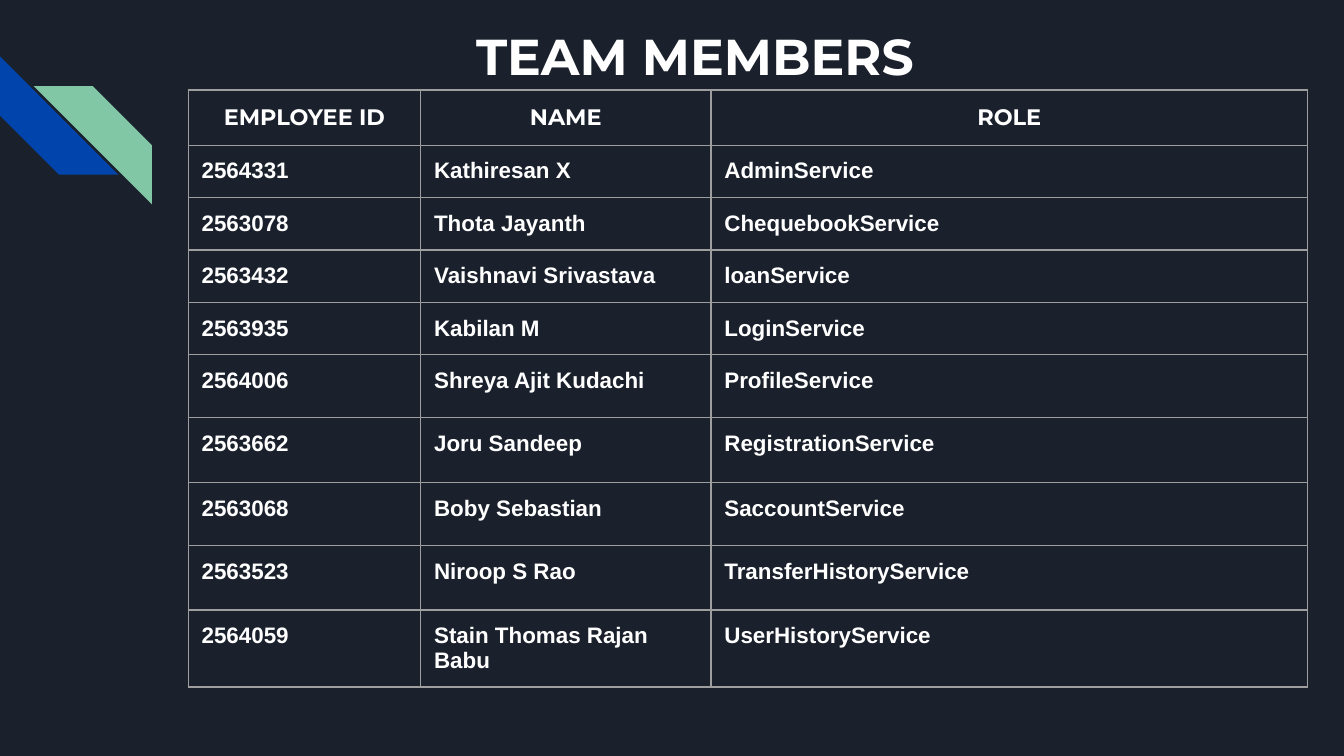
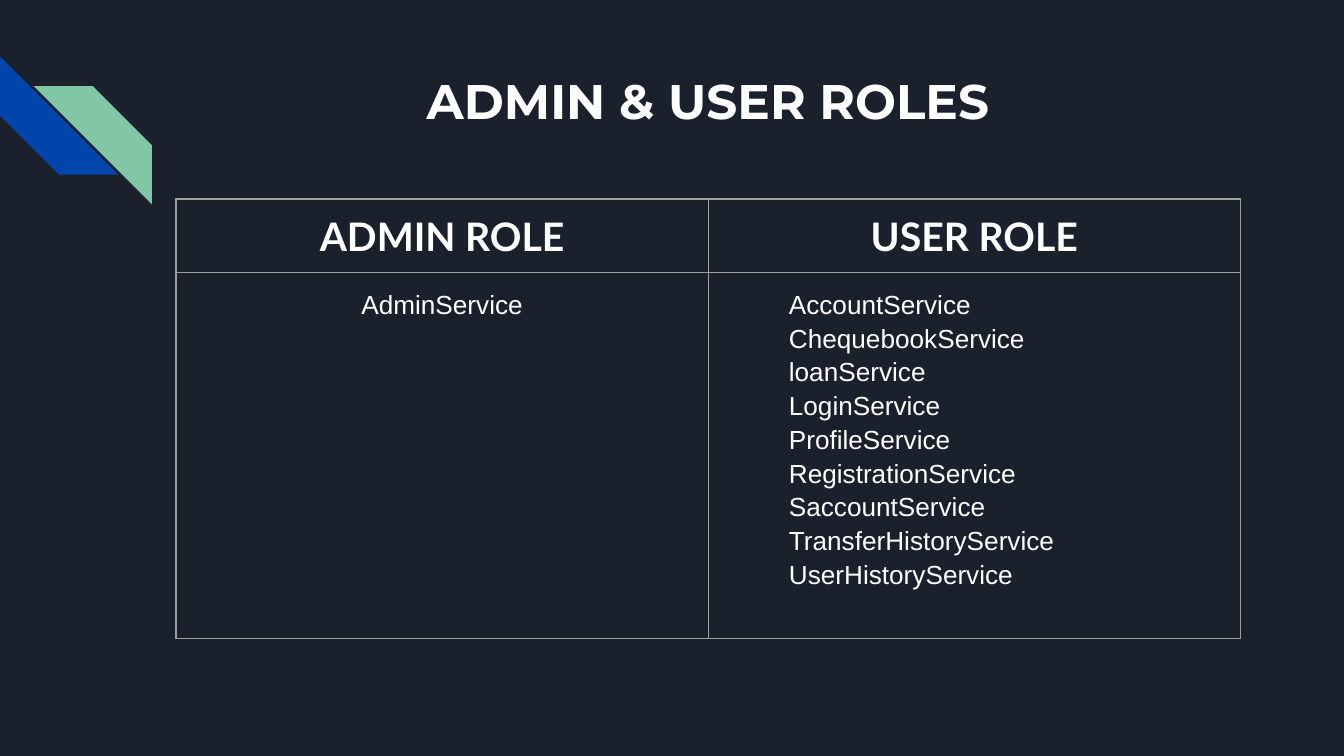
from lxml import etree
from pptx import Presentation
from pptx.dml.color import RGBColor
from pptx.enum.shapes import MSO_SHAPE
from pptx.enum.text import MSO_ANCHOR, MSO_AUTO_SIZE, PP_ALIGN
from pptx.oxml.ns import qn
from pptx.util import Inches, Pt

# Shared look
NAVY = RGBColor(0x1B, 0x21, 0x2C)
BLUE = RGBColor(0x01, 0x45, 0xAC)
GREEN = RGBColor(0x82, 0xC7, 0xA5)
GREY = RGBColor(0x9E, 0x9E, 0x9E)
WHITE = RGBColor(0xFF, 0xFF, 0xFF)
HEAD, SUB, BODY = "Montserrat", "Lato", "Arial"
STRIPE = MSO_SHAPE.DIAGONAL_STRIPE
TOP = MSO_ANCHOR.TOP
NO_FIT = MSO_AUTO_SIZE.NONE
LEFT, CENTER = PP_ALIGN.LEFT, PP_ALIGN.CENTER
PAD = Inches(0.1)
WIDE = Inches(10)
HIGH = WIDE * 9 // 16

# Content
TEAM = [
    ("EMPLOYEE ID", "NAME", "ROLE"),
    ("2564331", "Kathiresan X", "AdminService"),
    ("2563078", "Thota Jayanth", "ChequebookService"),
    ("2563432", "Vaishnavi Srivastava", "loanService"),
    ("2563935", "Kabilan M", "LoginService"),
    ("2564006", "Shreya Ajit Kudachi", "ProfileService"),
    ("2563662", "Joru Sandeep", "RegistrationService"),
    ("2563068", "Boby Sebastian", "SaccountService"),
    ("2563523", "Niroop S Rao", "TransferHistoryService"),
    ("2564059", "Stain Thomas Rajan Babu", "UserHistoryService"),
]
# The user role covers every service but the admin's
USER = ["AccountService"] + [row[2] for row in TEAM[2:]]
ROLES = [("ADMIN ROLE", "USER ROLE"), ("AdminService", "\n".join(USER))]


def set_text(frame, text, size, font, bold=True, align=LEFT, space=None, indent=0):
    frame.text = text
    for para in frame.paragraphs:
        para.alignment = align
        if space:
            para.line_spacing = space
        if indent:
            props = para._p.get_or_add_pPr()
            props.set("marL", str(Inches(indent)))
            props.set("indent", "0")
        for run in para.runs:
            run.font.size = Pt(size)
            run.font.name = font
            run.font.bold = bold
            run.font.color.rgb = WHITE


def add_stripe(slide, left, top, turn, color):
    stripe = slide.shapes.add_shape(
        STRIPE, Inches(left), Inches(top), Inches(0.88), Inches(0.88))
    stripe.rotation = turn
    stripe.shadow.inherit = False
    stripe.fill.solid()
    stripe.fill.fore_color.rgb = color
    stripe.line.fill.background()


def add_slide(prs, title, box, size):
    slide = prs.slides.add_slide(prs.slide_layouts[5])
    add_stripe(slide, 0, 0.42, 270, BLUE)
    add_stripe(slide, 0.25, 0.64, 90, GREEN)
    shape = slide.shapes.title
    shape.left, shape.top, shape.width, shape.height = map(Inches, box)
    frame = shape.text_frame
    frame.margin_left = frame.margin_right = PAD
    frame.margin_top = frame.margin_bottom = PAD
    frame.vertical_anchor = TOP
    frame.word_wrap = True
    frame.auto_size = NO_FIT
    set_text(frame, title, size, HEAD, align=CENTER)
    return slide


def set_edges(cell):
    props = cell._tc.get_or_add_tcPr()
    for side in ("lnL", "lnR", "lnT", "lnB"):
        line = etree.SubElement(props, qn("a:" + side), w=str(Pt(0.75)))
        fill = etree.SubElement(line, qn("a:solidFill"))
        etree.SubElement(fill, qn("a:srgbClr"), val=str(GREY))


def add_grid(slide, left, top, cols, rows):
    frame = slide.shapes.add_table(
        len(rows), len(cols), Inches(left), Inches(top),
        Inches(sum(cols)), Inches(sum(rows)))
    table = frame.table
    table.first_row = table.horz_banding = False
    for col, width in zip(table.columns, cols):
        col.width = Inches(width)
    for row, height in zip(table.rows, rows):
        row.height = Inches(height)
    for cell in table.iter_cells():
        cell.margin_left = cell.margin_right = PAD
        cell.margin_top = cell.margin_bottom = PAD
        set_edges(cell)
        cell.fill.background()
    return table


def add_team(prs):
    slide = add_slide(prs, "TEAM MEMBERS", (1.32, 0.09, 7.7, 0.52), 27)
    # The last row grows to hold its two lines
    rows = [0.41] + [0.39] * 4 + [0.47, 0.48] * 2 + [0.39]
    table = add_grid(slide, 1.4, 0.67, (1.73, 2.16, 4.44), rows)
    for r, row in enumerate(TEAM):
        font, align = (BODY, LEFT) if r else (HEAD, CENTER)
        for c, text in enumerate(row):
            set_text(table.cell(r, c).text_frame, text, 12, font, align=align)


def add_roles(prs):
    slide = add_slide(prs, "ADMIN & USER ROLES", (1.42, 0.43, 7.7, 0.71), 26)
    table = add_grid(slide, 1.31, 1.48, (3.96, 3.96), (0.55, 2.72))
    for c, (head, body) in enumerate(zip(*ROLES)):
        align, indent = (LEFT, 0.5) if c else (CENTER, 0)
        set_text(table.cell(0, c).text_frame, head, 21, SUB, align=CENTER)
        set_text(table.cell(1, c).text_frame, body, 14, BODY, False,
                 align, 1.15, indent)


def main():
    prs = Presentation()
    prs.slide_width, prs.slide_height = WIDE, HIGH
    back = prs.slide_master.background.fill
    back.solid()
    back.fore_color.rgb = NAVY
    add_team(prs)
    add_roles(prs)
    prs.save("out.pptx")


if __name__ == "__main__":
    main()
